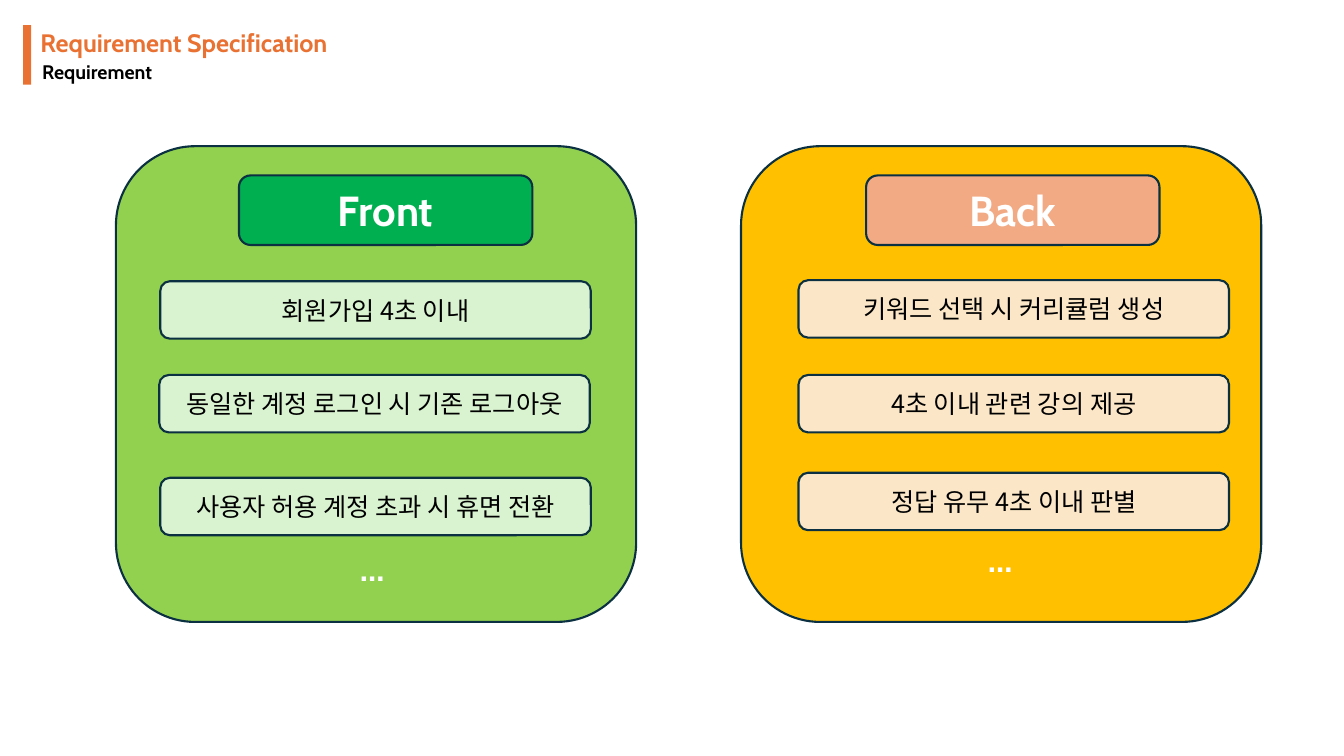
from dataclasses import dataclass

from lxml import etree
from pptx import Presentation
from pptx.dml.color import RGBColor
from pptx.enum.shapes import MSO_SHAPE
from pptx.enum.text import MSO_ANCHOR, MSO_AUTO_SIZE, PP_ALIGN
from pptx.oxml.ns import qn
from pptx.util import Inches, Pt

RECT = MSO_SHAPE.RECTANGLE
ROUNDED = MSO_SHAPE.ROUNDED_RECTANGLE
TOP, MIDDLE = MSO_ANCHOR.TOP, MSO_ANCHOR.MIDDLE
LEFT, CENTER = PP_ALIGN.LEFT, PP_ALIGN.CENTER
FIT_SHAPE = MSO_AUTO_SIZE.SHAPE_TO_FIT_TEXT

LATIN, KOREAN = "Cabin", "Noto Sans CJK KR"
COLORS = {
    "accent": "E97132",
    "outline": "0A3041",
    "black": "000000",
    "white": "FFFFFF",
    "front": "92D050",
    "front_header": "00B050",
    "front_item": "D9F2D0",
    "back": "FFC000",
    "back_header": "F2AA84",
    "back_item": "FBE7C7",
}


@dataclass
class Item:
    text: str
    left: float
    top: float


@dataclass
class Panel:
    name: str
    color: str
    left: float
    header_left: float
    items: list[Item]
    dots_left: float
    dots_top: float


PANELS = [
    Panel("Front", "front", 1.15, 2.37, [
        Item("회원가입 4초 이내", 1.59, 2.79),
        Item("동일한 계정 로그인 시 기존 로그아웃", 1.58, 3.72),
        Item("사용자 허용 계정 초과 시 휴면 전환", 1.59, 4.74),
    ], 3.47, 5.37),
    Panel("Back", "back", 7.35, 8.59, [
        Item("키워드 선택 시 커리큘럼 생성", 7.92, 2.78),
        Item("4초 이내 관련 강의 제공", 7.92, 3.72),
        Item("정답 유무 4초 이내 판별", 7.92, 4.69),
    ], 9.7, 5.28),
]


def rgb(name: str) -> RGBColor:
    return RGBColor.from_string(COLORS[name])


def write(sp, text: str, size: float, color: str, font: str = LATIN,
          bold: bool = True, align=LEFT, anchor=TOP) -> None:
    tf = sp.text_frame
    tf.word_wrap = True
    tf.vertical_anchor = anchor
    tf.text = text
    p = tf.paragraphs[0]
    p.alignment = align
    p.font.size = Pt(size)
    p.font.bold = bold
    p.font.color.rgb = rgb(color)
    p.font.name = font
    # Hangul takes its typeface from the East Asian slot.
    latin = p._p.pPr.find(qn("a:defRPr")).find(qn("a:latin"))
    ea = etree.Element(qn("a:ea"), typeface=font)
    latin.addnext(ea)


def add_box(shapes, kind, left: float, top: float, width: float,
            height: float, fill: str, outlined: bool = True):
    sp = shapes.add_shape(kind, Inches(left), Inches(top),
                          Inches(width), Inches(height))
    sp.shadow.inherit = False
    sp.fill.solid()
    sp.fill.fore_color.rgb = rgb(fill)
    if outlined:
        sp.line.color.rgb = rgb("outline")
        sp.line.width = Pt(1.5)
    else:
        sp.line.fill.background()
    return sp


def add_label(s, text: str, left: float, top: float, width: float,
              height: float, size: float, color: str) -> None:
    sp = s.shapes.add_textbox(Inches(left), Inches(top),
                              Inches(width), Inches(height))
    write(sp, text, size, color)
    sp.text_frame.auto_size = FIT_SHAPE


def add_heading(s) -> None:
    add_box(s.shapes, RECT, 0.23, 0.25, 0.08, 0.59, "accent", outlined=False)
    title = s.shapes.title
    title.left, title.top = Inches(0.3), Inches(0.22)
    title.width, title.height = Inches(4.53), Inches(0.4)
    write(title, "Requirement Specification", 18, "accent")
    title.text_frame.auto_size = FIT_SHAPE
    add_label(s, "Requirement", 0.32, 0.55, 2.53, 0.34, 14, "black")


def add_panel(s, panel: Panel) -> None:
    group = s.shapes.add_group_shape().shapes
    add_box(group, ROUNDED, panel.left, 1.45, 5.16, 4.72, panel.color)
    header = add_box(group, ROUNDED, panel.header_left, 1.74, 2.91, 0.69,
                     f"{panel.color}_header")
    write(header, panel.name, 30, "white", align=CENTER, anchor=MIDDLE)
    for item in panel.items:
        sp = add_box(s.shapes, ROUNDED, item.left, item.top, 4.27, 0.57,
                     f"{panel.color}_item")
        write(sp, item.text, 18, "black", KOREAN, False, CENTER, MIDDLE)
    add_label(s, "…", panel.dots_left, panel.dots_top, 0.55, 0.94, 25, "white")


def main() -> None:
    prs = Presentation()
    prs.slide_width, prs.slide_height = Inches(13.33), Inches(7.5)
    s = prs.slides.add_slide(prs.slide_layouts[5])
    add_heading(s)
    for panel in PANELS:
        add_panel(s, panel)
    prs.save("out.pptx")


if __name__ == "__main__":
    main()
